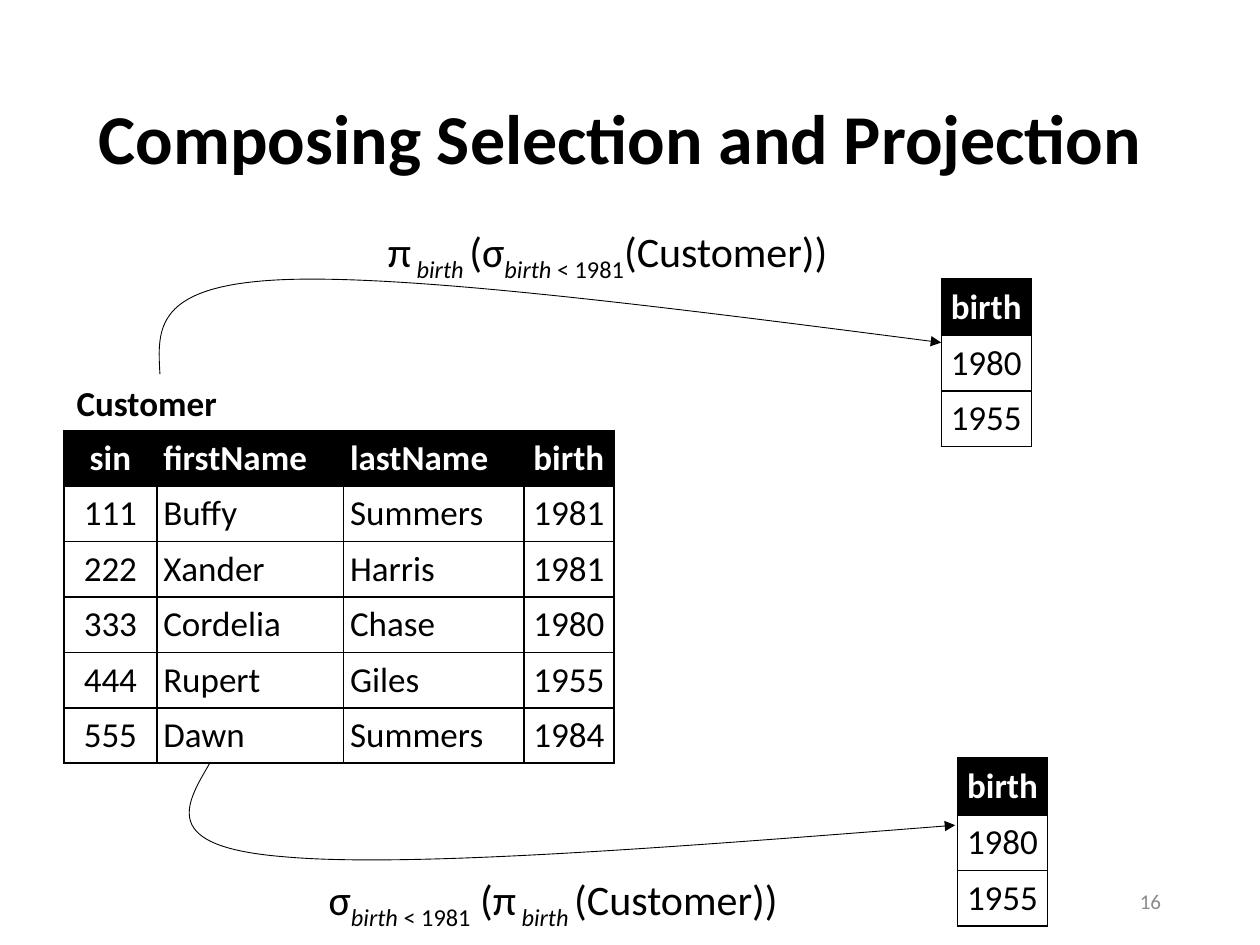
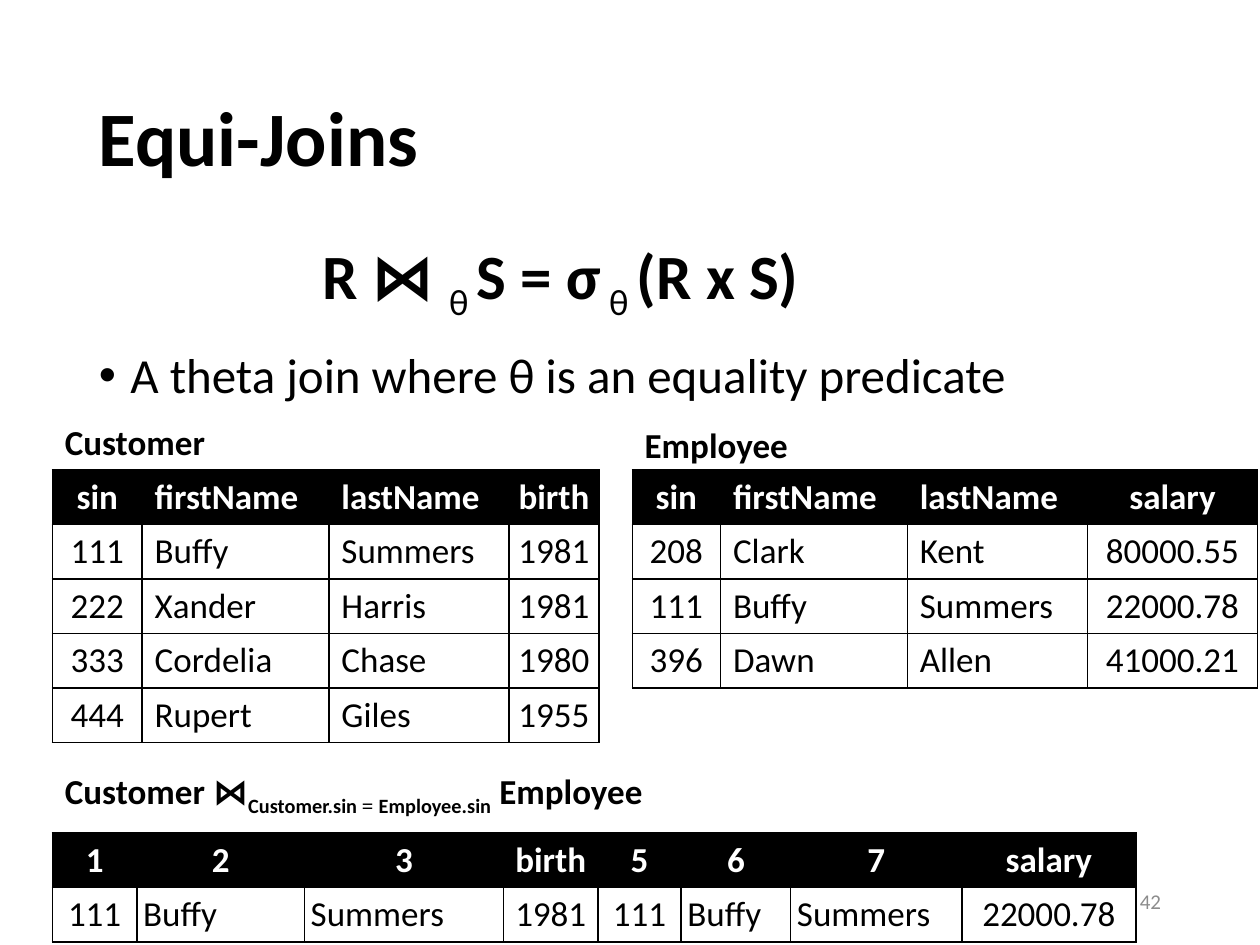
"""Two slides on relational algebra: composed operators and equi-joins."""
from lxml.etree import SubElement as Sub
from pptx import Presentation
from pptx.dml.color import RGBColor
from pptx.enum.text import MSO_ANCHOR as Anchor, PP_ALIGN as Align
from pptx.oxml.ns import qn
from pptx.util import Pt

BLACK, WHITE, GREY = "000000", "FFFFFF", "8C8C8C"
ALIGNS = {"l": Align.LEFT, "c": Align.CENTER, "r": Align.RIGHT}
SUBSCRIPT = {"sub": True}
SUB_ITALIC = {"sub": True, "italic": True}


def rgb(code):
    """Turn a hex string into a colour."""
    return RGBColor.from_string(code)


def write(paragraph, text, size=20, color=BLACK, bold=False, italic=False,
          sub=False, font="Calibri"):
    """Add one formatted run to a paragraph."""
    run = paragraph.add_run()
    run.text = text
    run.font.name, run.font.size = font, Pt(size)
    run.font.bold, run.font.italic = bold, italic
    run.font.color.rgb = rgb(color)
    if sub:
        run._r.get_or_add_rPr().set("baseline", "-25000")


class Deck:
    """Holds the shared style and the current slide."""

    def __init__(self):
        """Open a 10 by 7.5 inch presentation."""
        self.prs = Presentation()
        self.prs.slide_width, self.prs.slide_height = Pt(720), Pt(540)
        self.slide = None

    def new_slide(self, title, number, title_size):
        """Start a slide with its title and page number."""
        self.slide = self.prs.slides.add_slide(self.prs.slide_layouts[6])
        self.text((49.5, 28.75, 621, 104.4), title, size=title_size, bold=True,
                  spacing=0.9, anchor=Anchor.MIDDLE)
        self.text((508.5, 500.5, 162, 28.75), number, size=12, color=GREY,
                  align="r", anchor=Anchor.MIDDLE)

    def text(self, box, content, align="l", anchor=Anchor.TOP, spacing=None,
             before=0, wrap=True, **fmt):
        """Add a text box from a string or a list of (text, format) runs."""
        frame = self.slide.shapes.add_textbox(*map(Pt, box)).text_frame
        frame.word_wrap, frame.vertical_anchor = wrap, anchor
        paragraph = frame.paragraphs[0]
        paragraph.alignment = ALIGNS[align]
        paragraph.space_before = Pt(before)
        if spacing:
            paragraph.line_spacing = spacing
        runs = [(content, {})] if isinstance(content, str) else content
        for words, extra in runs:
            write(paragraph, words, **{**fmt, **extra})
        return paragraph

    def label(self, left, top, content, width=100.8):
        """Add the bold name above a relation."""
        self.text((left, top, width, 31.5), content, bold=True)

    def formula(self, left, top, runs):
        """Add an algebra expression."""
        self.text((left, top, 293.75, 33.1), runs, size=24, spacing=0.9,
                  before=4.8)

    def bullet(self, box, content):
        """Add a bulleted line with a hanging indent."""
        paragraph = self.text(box, content, size=28, spacing=0.9, before=10)
        props = paragraph._p.get_or_add_pPr()
        props.set("marL", str(Pt(18)))
        props.set("indent", str(Pt(-18)))
        Sub(props, qn("a:buFont"), typeface="Arial")
        Sub(props, qn("a:buChar"), char="•")

    def relation(self, left, top, widths, rows, aligns, header_aligns=None,
                 row_height=31.7, header_height=None, pad=3.6):
        """Add a relation as a table with a black header row."""
        heights = [header_height or row_height] + [row_height] * (len(rows) - 1)
        table = self.slide.shapes.add_table(
            len(rows), len(widths), Pt(left), Pt(top),
            Pt(sum(widths)), Pt(sum(heights))).table
        table.horz_banding = False
        for column, width in zip(table.columns, widths):
            column.width = Pt(width)
        for i, (values, height) in enumerate(zip(rows, heights)):
            table.rows[i].height = Pt(height)
            row_aligns = aligns if i else header_aligns or aligns
            for j, (value, align) in enumerate(zip(values, row_aligns)):
                self.cell(table.cell(i, j), value, align, i == 0, pad)

    def cell(self, cell, value, align, header, pad):
        """Fill, frame and label one table cell."""
        cell.margin_left = cell.margin_right = Pt(pad if align == "l" else 3.6)
        cell.margin_top = cell.margin_bottom = Pt(3.3)
        cell.vertical_anchor = Anchor.MIDDLE
        props = cell._tc.get_or_add_tcPr()
        for side in "LRTB":
            border = Sub(props, qn(f"a:ln{side}"), w=str(Pt(1)))
            Sub(Sub(border, qn("a:solidFill")), qn("a:srgbClr"), val=BLACK)
        cell.fill.solid()
        cell.fill.fore_color.rgb = rgb(BLACK if header else WHITE)
        paragraph = cell.text_frame.paragraphs[0]
        paragraph.alignment = ALIGNS[align]
        write(paragraph, value, bold=header, color=WHITE if header else BLACK)

    def curved_arrow(self, start, *controls):
        """Draw a cubic curve, three points per segment, ending in an arrow."""
        builder = self.slide.shapes.build_freeform(*map(Pt, start))
        builder.add_line_segments([(Pt(x), Pt(y)) for x, y in controls],
                                  close=False)
        arrow = builder.convert_to_shape()
        arrow.shadow.inherit = False
        arrow.fill.background()
        arrow.line.color.rgb, arrow.line.width = rgb(BLACK), Pt(0.5)
        Sub(arrow.line._get_or_add_ln(), qn("a:tailEnd"), type="triangle")
        route = next(arrow._element.iter(qn("a:path")))
        legs = route.findall(qn("a:lnTo"))
        for i in range(0, len(legs), 3):
            curve = Sub(route, qn("a:cubicBezTo"))
            for leg in legs[i:i + 3]:
                curve.append(leg[0])
                route.remove(leg)


PERSON = ("sin", "firstName", "lastName")
CUSTOMERS = [
    (*PERSON, "birth"),
    ("111", "Buffy", "Summers", "1981"),
    ("222", "Xander", "Harris", "1981"),
    ("333", "Cordelia", "Chase", "1980"),
    ("444", "Rupert", "Giles", "1955"),
    ("555", "Dawn", "Summers", "1984"),
]
EMPLOYEES = [
    (*PERSON, "salary"),
    ("208", "Clark", "Kent", "80000.55"),
    ("111", "Buffy", "Summers", "22000.78"),
    ("396", "Dawn", "Allen", "41000.21"),
]
BIRTHS = [("birth",), ("1980",), ("1955",)]
JOINED = [
    ("1", "2", "3", "birth", "5", "6", "7", "salary"),
    ("111", "Buffy", "Summers", "1981", "111", "Buffy", "Summers", "22000.78"),
]
NAME_WIDTHS = (106.75, 103)
BIRTH_WIDTH = 51.4


def composing_slide(deck):
    """Build the slide on composing selection and projection."""
    deck.new_slide("Composing Selection and Projection", "16", 40)
    deck.relation(36.5, 246, (53.2, *NAME_WIDTHS, BIRTH_WIDTH), CUSTOMERS, "cllc")
    for left, top in ((537.9, 159.3), (547.2, 433.2)):
        deck.relation(left, top, (BIRTH_WIDTH,), BIRTHS, "c", header_height=32.5)
    deck.curved_arrow((120.2, 435.6), (105.8, 460.1), (90.7, 483.8), (162, 489.6),
                      (232.6, 496.1), (389.5, 483.8), (545.8, 471.6))
    deck.curved_arrow((91.4, 213.8), (90, 187.9), (87.8, 162.7), (162.7, 159.8),
                      (236.9, 157), (387.4, 176.4), (537.8, 195.8))
    deck.label(36.7, 214.6, "Customer")
    condition = [("birth", SUB_ITALIC), (" < 1981", SUBSCRIPT)]
    deck.formula(214.6, 126, [("π", {}), (" birth ", SUB_ITALIC), ("(σ", {}),
                              *condition, ("(Customer))", {})])
    deck.formula(180.7, 496.1, [("σ", {}), *condition, (" (π", {}),
                                (" birth ", SUB_ITALIC), ("(Customer))", {})])


def equi_join_slide(deck):
    """Build the slide on equi-joins."""
    deck.new_slide("Equi-Joins", "42", 44)
    deck.bullet((49.5, 197.3, 621, 38.9),
                "A theta join where θ is an equality predicate")
    theta = {"bold": False, "sub": True}
    deck.text((177.1, 131.8, 309.6, 51.1),
              [("R ⋈ ", {}), ("θ ", theta), ("S = σ", {}), (" θ ", theta),
               ("(R x S)", {})], size=36, bold=True, wrap=False)
    left, right, top, row = 30, 361.3, 268.5, 31.2
    deck.relation(left, top, (51.2, *NAME_WIDTHS, BIRTH_WIDTH), CUSTOMERS[:-1],
                  "cllc", row_height=row, pad=7.2)
    deck.relation(right, top, (50.4, *NAME_WIDTHS, 97.2), EMPLOYEES,
                  "cllc", row_height=row, pad=7.2)
    deck.label(left, 236.9, "Customer")
    deck.label(right, 238.3, "Employee")
    deck.label(left, 436.3, [
        ("Customer ⋈", {}), ("Customer.sin ", SUBSCRIPT),
        ("= ", {"sub": True, "font": "Times New Roman"}),
        ("Employee.sin", SUBSCRIPT), (" Employee", {})], width=432.7)
    deck.relation(left, 475.9, (48.2, 95.8, 113.8, 54, 47.5, 62.6, 97.9, 99.4),
                  JOINED, "cllccllc", header_aligns="c" * 8, row_height=row)


def main():
    """Build and save the deck."""
    deck = Deck()
    composing_slide(deck)
    equi_join_slide(deck)
    deck.prs.save("out.pptx")


if __name__ == "__main__":
    main()
